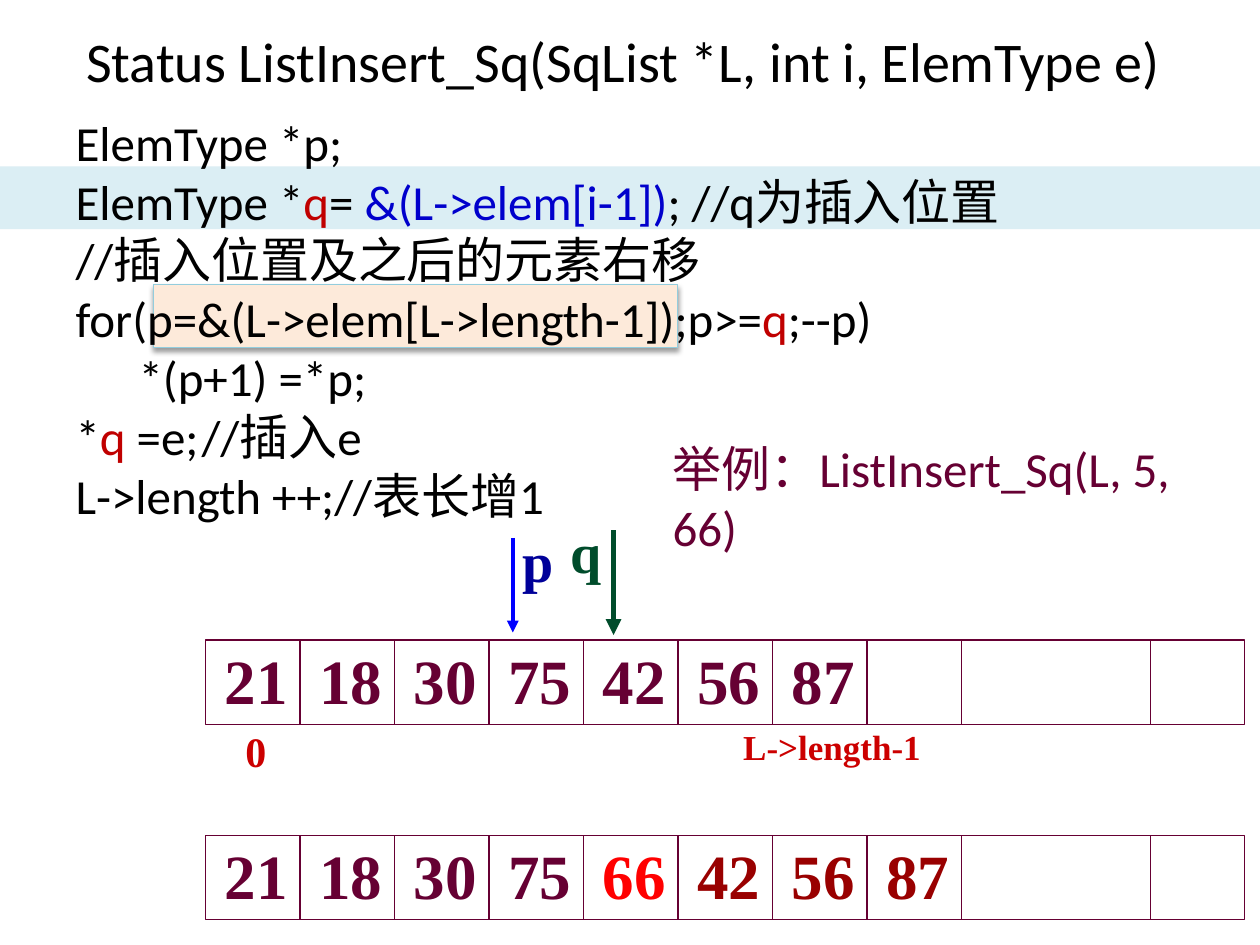
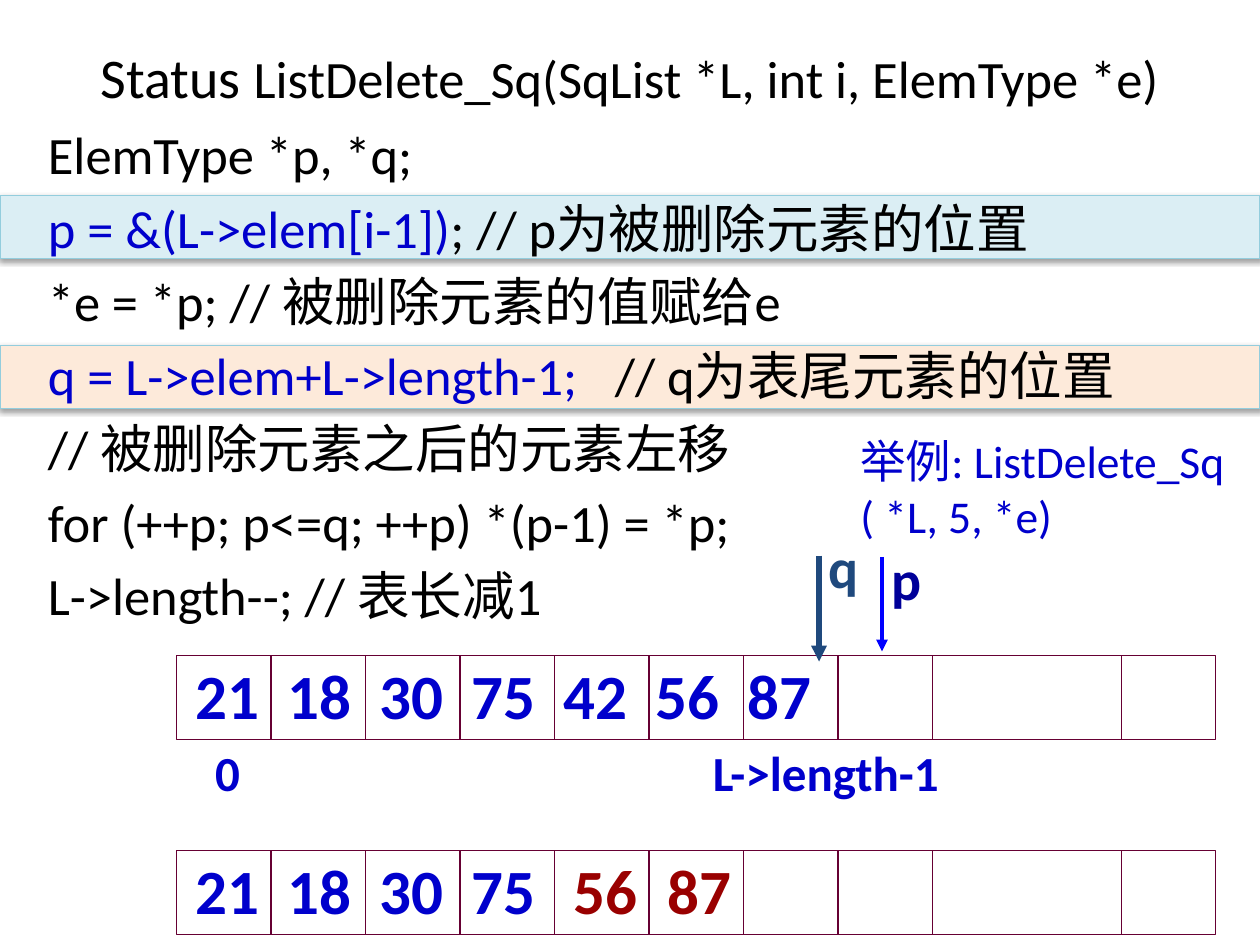
from lxml.etree import SubElement as Sub
from pptx import Presentation
from pptx.dml.color import RGBColor as Rgb
from pptx.enum.shapes import MSO_CONNECTOR as Conn, MSO_SHAPE as Shape
from pptx.enum.text import MSO_AUTO_SIZE as Auto, PP_ALIGN as Align
from pptx.oxml.ns import qn
from pptx.util import Inches, Pt

BLACK = Rgb(0x00, 0x00, 0x00)
BLUE = Rgb(0x00, 0x00, 0xCC)
RED = Rgb(0xC0, 0x00, 0x00)
BRIGHT = Rgb(0xFF, 0x00, 0x00)
SCARLET = Rgb(0xCC, 0x00, 0x00)
MAROON = Rgb(0x99, 0x00, 0x00)
PLUM = Rgb(0x66, 0x00, 0x33)
NAVY = Rgb(0x00, 0x00, 0x99)
PURE = Rgb(0x00, 0x00, 0xFF)
GREEN = Rgb(0x00, 0x4C, 0x2B)
STEEL = Rgb(0x1F, 0x49, 0x7D)
SKY = Rgb(0xDB, 0xEE, 0xF4)
PEACH = Rgb(0xFD, 0xEA, 0xDA)
EDGE = Rgb(0x93, 0xCD, 0xDD)
SANS, SERIF = "Calibri", "Times New Roman"
CELL, TALL = 0.75, 0.67
WALLS = (1, 2, 3, 4, 5, 6, 7, 8, 10)


def place(shape, box):
    """Move a shape to a box given in inches."""
    shape.left, shape.top, shape.width, shape.height = map(Inches, box)


def style(item, size, color, name=SANS, bold=False):
    """Set the font of a paragraph or run."""
    font = item.font
    font.size, font.name, font.bold = Pt(size), name, bold
    font.color.rgb = color


def band(slide, box, fill, raised=True):
    """Lay a highlight behind the code, with an edge and shadow if raised."""
    bar = slide.shapes.add_shape(Shape.RECTANGLE, *map(Inches, box))
    bar.shadow.inherit = False
    bar.fill.solid()
    bar.fill.fore_color.rgb = fill
    if raised:
        bar.line.color.rgb, bar.line.width = EDGE, Pt(0.75)
        glow = Sub(bar.element.spPr.find(qn("a:effectLst")), qn("a:outerShdw"),
                   blurRad=str(Pt(3.1)), dist=str(Pt(1.6)), dir="5400000", rotWithShape="0")
        tint = Sub(glow, qn("a:srgbClr"), val="000000")
        Sub(tint, qn("a:alpha"), val="38000")
    else:
        bar.line.fill.background()
    slide.shapes.title.element.addprevious(bar.element)


def head(slide, box, parts):
    """Fill the title with runs of text and size."""
    title = slide.shapes.title
    place(title, box)
    para = title.text_frame.paragraphs[0]
    para.alignment = Align.CENTER
    style(para, 32, BLACK)
    for text, size in parts:
        run = para.add_run()
        run.text, run.font.size = text, Pt(size)


def code(slide, box, lines, size, gap, stop):
    """Fill the body with code lines, each a list of text and colour."""
    body = slide.placeholders[1]
    place(body, box)
    frame = body.text_frame
    frame.auto_size = Auto.NONE
    for i, parts in enumerate(lines):
        para = frame.add_paragraph() if i else frame.paragraphs[0]
        para.space_before = Pt(gap if i else 0)
        props = para._p.get_or_add_pPr()
        props.set("marL", "0")
        props.set("indent", "0")
        Sub(props, qn("a:buNone"))
        Sub(Sub(props, qn("a:tabLst")), qn("a:tab"), pos=str(Inches(stop)), algn="l")
        style(para, size, BLACK)
        for text, color in parts:
            run = para.add_run()
            run.text = text
            if color != BLACK:
                run.font.color.rgb = color


def label(slide, box, text, size, color, name=SANS, bold=True, align=Align.LEFT):
    """Add a one-style text box."""
    note = slide.shapes.add_textbox(*map(Inches, box))
    note.text_frame.word_wrap = True
    para = note.text_frame.paragraphs[0]
    para.text, para.alignment = text, align
    style(para, size, color, name, bold)


def line(slide, start, end, color, width, tip=False):
    """Draw a straight line, with an arrowhead if asked."""
    link = slide.shapes.add_connector(Conn.STRAIGHT, *map(Inches, start + end))
    link.line.color.rgb, link.line.width = color, Pt(width)
    if tip:
        Sub(link.line._get_or_add_ln(), qn("a:tailEnd"), type="triangle")
    Sub(link.element.spPr, qn("a:effectLst"))


def grid(slide, left, top):
    """Draw the empty array with its cell walls."""
    frame = slide.shapes.add_shape(
        Shape.RECTANGLE, *map(Inches, (left, top, 11 * CELL, TALL)))
    frame.shadow.inherit = False
    frame.fill.background()
    frame.line.color.rgb, frame.line.width = PLUM, Pt(0.75)
    for i in WALLS:
        x = left + i * CELL
        line(slide, (x, top), (x, top + TALL), PLUM, 0.75)


def fill(slide, left, top, items, color, name, step=CELL):
    """Write values into cells from the left."""
    for i, item in enumerate(items):
        box = (left + 0.03 + i * step, top - 0.04, CELL, 0.7)
        label(slide, box, item, 36, color, name, align=Align.CENTER)


def mark(slide, x, top, end, text, shift, color, ink, width, name):
    """Draw a pointer arrow and its letter, shifted from the arrow."""
    line(slide, (x, top), (x, end), ink, width, True)
    dx, dy = shift
    label(slide, (x + dx, top + dy, 0.46, 0.63), text, 32, color, name)


def insert(deck):
    """Build the slide on inserting an element."""
    slide = deck.slides.add_slide(deck.slide_layouts[1])
    band(slide, (1.22, 2.26, 4.16, 0.5), PEACH)
    band(slide, (0, 1.32, 10, 0.5), SKY, False)
    head(slide, (0, -0.03, 9.9, 1.01),
         [("Status ListInsert_Sq(SqList *L, int i, ElemType e)", 32)])
    code(slide, (0.5, 0.84, 9, 6.66), [
        [("ElemType *p;", BLACK)],
        [("ElemType *", BLACK), ("q", RED), ("= ", BLACK),
         ("&(L->elem[i-1])", BLUE), ("; //q为插入位置", BLACK)],
        [("//插入位置及之后的元素右移", BLACK)],
        [("for(p=&(L->elem[L->length-1]);p>=", BLACK), ("q", RED), (";--p)", BLACK)],
        [("\t*(p+1) =*p;", BLACK)],
        [("*", BLACK), ("q", RED), (" =e;\t//插入e", BLACK)],
        [("L->length ++;//表长增1", BLACK)],
    ], 28, 0, 1.1)
    left, top, low = 1.63, 5.08, 6.63
    grid(slide, left, top)
    fill(slide, left, top, ("21", "18", "30", "75", "42", "56", "87"), PLUM, SERIF)
    grid(slide, left, low)
    fill(slide, left, low, ("21", "18", "30", "75"), PLUM, SERIF)
    fill(slide, left + 4 * CELL, low, ("66",), BRIGHT, SERIF)
    fill(slide, left + 5 * CELL, low, ("42", "56", "87"), MAROON, SERIF)
    label(slide, (1.85, 5.71, 0.4, 0.5), "0", 24, SCARLET, SERIF)
    label(slide, (5.8, 5.71, 1.7, 0.44), "L->length-1", 20, SCARLET, SERIF)
    mark(slide, 4.07, 4.27, 5.02, "p", (-0.02, -0.14), NAVY, PURE, 2.25, SERIF)
    mark(slide, 4.87, 4.21, 5.04, "q", (-0.44, -0.15), GREEN, GREEN, 3, SERIF)
    label(slide, (5.24, 3.43, 4.74, 0.57), "举例：ListInsert_Sq(L, 5, 66)",
          28, PLUM, bold=False)


def delete(deck):
    """Build the slide on deleting an element."""
    slide = deck.slides.add_slide(deck.slide_layouts[1])
    band(slide, (0, 2.74, 10, 0.5), PEACH)
    band(slide, (0, 1.55, 10, 0.5), SKY)
    head(slide, (0, 0.06, 10, 1.09),
         [("Status ", 32), ("ListDelete_Sq(SqList *L, int i, ElemType *e)", 30)])
    code(slide, (0.28, 0.92, 9.38, 6.06), [
        [("ElemType *p, *q;", BLACK)],
        [("p = &(L->elem[i-1])", BLUE), ("; // p为被删除元素的位置", BLACK)],
        [("*e = *p; // 被删除元素的值赋给e", BLACK)],
        [("q = L->elem+L->length-1;\t", BLUE), ("// q为表尾元素的位置", BLACK)],
        [("// 被删除元素之后的元素左移", BLACK)],
        [("for (++p; p<=q; ++p) *(p-1) = *p;", BLACK)],
        [("L->length--; // 表长减1", BLACK)],
    ], 30, 6, 4.48)
    left, top, low, step = 1.4, 5.2, 6.75, 0.73
    grid(slide, left, top)
    fill(slide, left, top, ("21", "18", "30", "75", "42", "56", "87"), BLUE, SANS, step)
    grid(slide, left, low)
    fill(slide, left, low, ("21", "18", "30", "75"), BLUE, SANS, step)
    fill(slide, left + 4 * CELL, low, ("56", "87"), MAROON, SANS)
    label(slide, (1.61, 5.84, 0.45, 0.57), "0", 28, BLUE)
    label(slide, (5.56, 5.84, 2.1, 0.57), "L->length-1", 28, BLUE)
    mark(slide, 6.5, 4.41, 5.25, "q", (-0.02, -0.23), STEEL, STEEL, 3, SANS)
    mark(slide, 7, 4.42, 5.17, "p", (-0.02, -0.15), NAVY, PURE, 2.25, SANS)
    label(slide, (6.73, 3.39, 3.22, 0.98), "举例: ListDelete_Sq ( *L, 5, *e)",
          26, BLUE, bold=False)


def main():
    """Build and save the deck."""
    deck = Presentation()
    deck.slide_width, deck.slide_height = Inches(10), Inches(7.5)
    insert(deck)
    delete(deck)
    deck.save("out.pptx")


if __name__ == "__main__":
    main()
